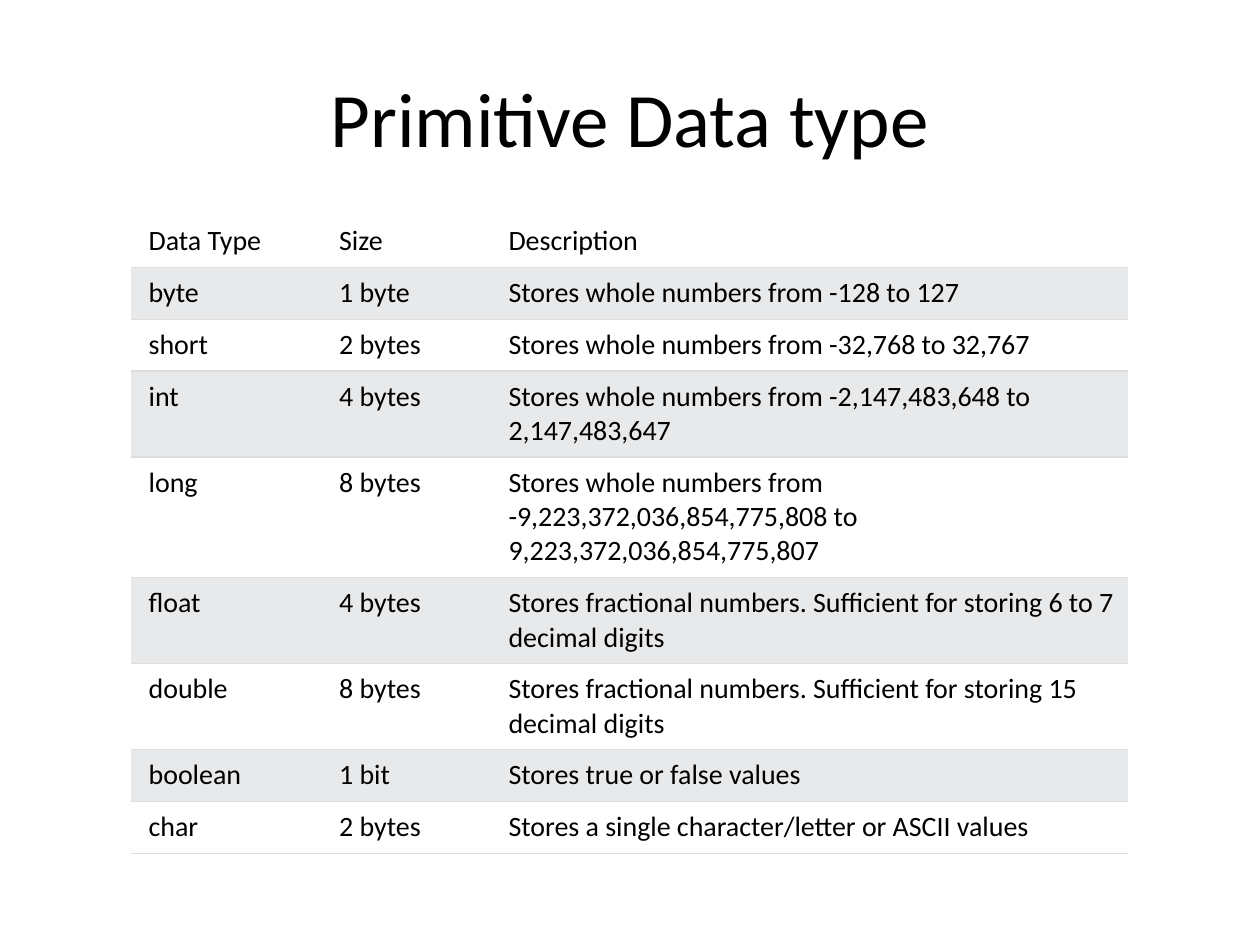
from dataclasses import dataclass

from lxml.etree import SubElement
from pptx import Presentation
from pptx.dml.color import RGBColor
from pptx.enum.text import MSO_ANCHOR as Anchor, PP_ALIGN as Align
from pptx.oxml.ns import qn
from pptx.slide import Slide
from pptx.util import Inches, Pt

WIDTH, HEIGHT = 10, 7.5
COLORS = {"text": "000000", "plain": "FFFFFF", "band": "E7E9EB", "rule": "DDDDDD"}

DATA_TYPES = [
    ("Data Type", "Size", "Description"),
    ("byte", "1 byte", "Stores whole numbers from -128 to 127"),
    ("short", "2 bytes", "Stores whole numbers from -32,768 to 32,767"),
    ("int", "4 bytes", "Stores whole numbers from -2,147,483,648 to 2,147,483,647"),
    ("long", "8 bytes", "Stores whole numbers from -9,223,372,036,854,775,808 "
                        "to 9,223,372,036,854,775,807"),
    ("float", "4 bytes", "Stores fractional numbers. Sufficient for storing "
                         "6 to 7 decimal digits"),
    ("double", "8 bytes", "Stores fractional numbers. Sufficient for storing "
                          "15 decimal digits"),
    ("boolean", "1 bit", "Stores true or false values"),
    ("char", "2 bytes", "Stores a single character/letter or ASCII values"),
]
LINES_PER_ROW = [1, 1, 1, 2, 3, 2, 2, 1, 1]
COLUMN_SHARES = [0.2, 0.17, 0.63]


@dataclass
class SlideBuilder:
    slide: Slide
    font: str = "Calibri"
    title_size: float = 44
    cell_size: float = 16
    padding: float = 0.07
    line_height: float = 0.26

    def box(self, left, top, width, height):
        """Turn percentages of the slide's size into lengths."""
        return (Inches(left * WIDTH / 100), Inches(top * HEIGHT / 100),
                Inches(width * WIDTH / 100), Inches(height * HEIGHT / 100))

    def set_text(self, frame, text, size, align):
        frame.text = text
        paragraph = frame.paragraphs[0]
        paragraph.alignment = align
        font = paragraph.runs[0].font
        font.name, font.size = self.font, Pt(size)
        font.color.rgb = RGBColor.from_string(COLORS["text"])

    def title(self, text, *shares):
        heading = self.slide.shapes.title
        heading.left, heading.top, heading.width, heading.height = self.box(*shares)
        heading.text_frame.vertical_anchor = Anchor.MIDDLE
        self.set_text(heading.text_frame, text, self.title_size, Align.CENTER)

    def border(self, cell, ruled_sides):
        """Rule the named sides of a cell and clear the others."""
        properties = cell._tc.get_or_add_tcPr()
        for side in "LRTB":
            line = SubElement(properties, qn(f"a:ln{side}"), w=str(Pt(0.75)))
            if side in ruled_sides:
                fill = SubElement(line, qn("a:solidFill"))
                SubElement(fill, qn("a:srgbClr"), val=COLORS["rule"])
            else:
                SubElement(line, qn("a:noFill"))

    def cell(self, cell, text, row, column):
        cell.margin_left = Inches(self.padding * (2 if column == 0 else 1))
        cell.margin_right = cell.margin_top = cell.margin_bottom = Inches(self.padding)
        cell.vertical_anchor = Anchor.TOP
        self.set_text(cell.text_frame, text, self.cell_size, Align.LEFT)
        self.border(cell, "TB" if row else "B")
        cell.fill.solid()
        cell.fill.fore_color.rgb = RGBColor.from_string(
            COLORS["band" if row % 2 else "plain"])

    def table(self, rows, line_counts, column_shares, *shares):
        left, top, width, height = self.box(*shares)
        table = self.slide.shapes.add_table(
            len(rows), len(column_shares), left, top, width, height).table
        table.first_row = table.horz_banding = False
        for column, share in zip(table.columns, column_shares):
            column.width = int(width * share)
        for row, lines in zip(table.rows, line_counts):
            row.height = Inches(0.15 + self.line_height * lines)
        for r, texts in enumerate(rows):
            for c, text in enumerate(texts):
                self.cell(table.cell(r, c), text, r, c)


def main():
    deck = Presentation()
    deck.slide_width, deck.slide_height = Inches(WIDTH), Inches(HEIGHT)
    title_only = deck.slide_layouts.get_by_name("Title Only")
    builder = SlideBuilder(deck.slides.add_slide(title_only))
    builder.title("Primitive Data type", 5, 4, 90, 16.67)
    builder.table(DATA_TYPES, LINES_PER_ROW, COLUMN_SHARES, 10.4, 22.8, 79.1, 67.2)
    deck.save("out.pptx")


if __name__ == "__main__":
    main()
